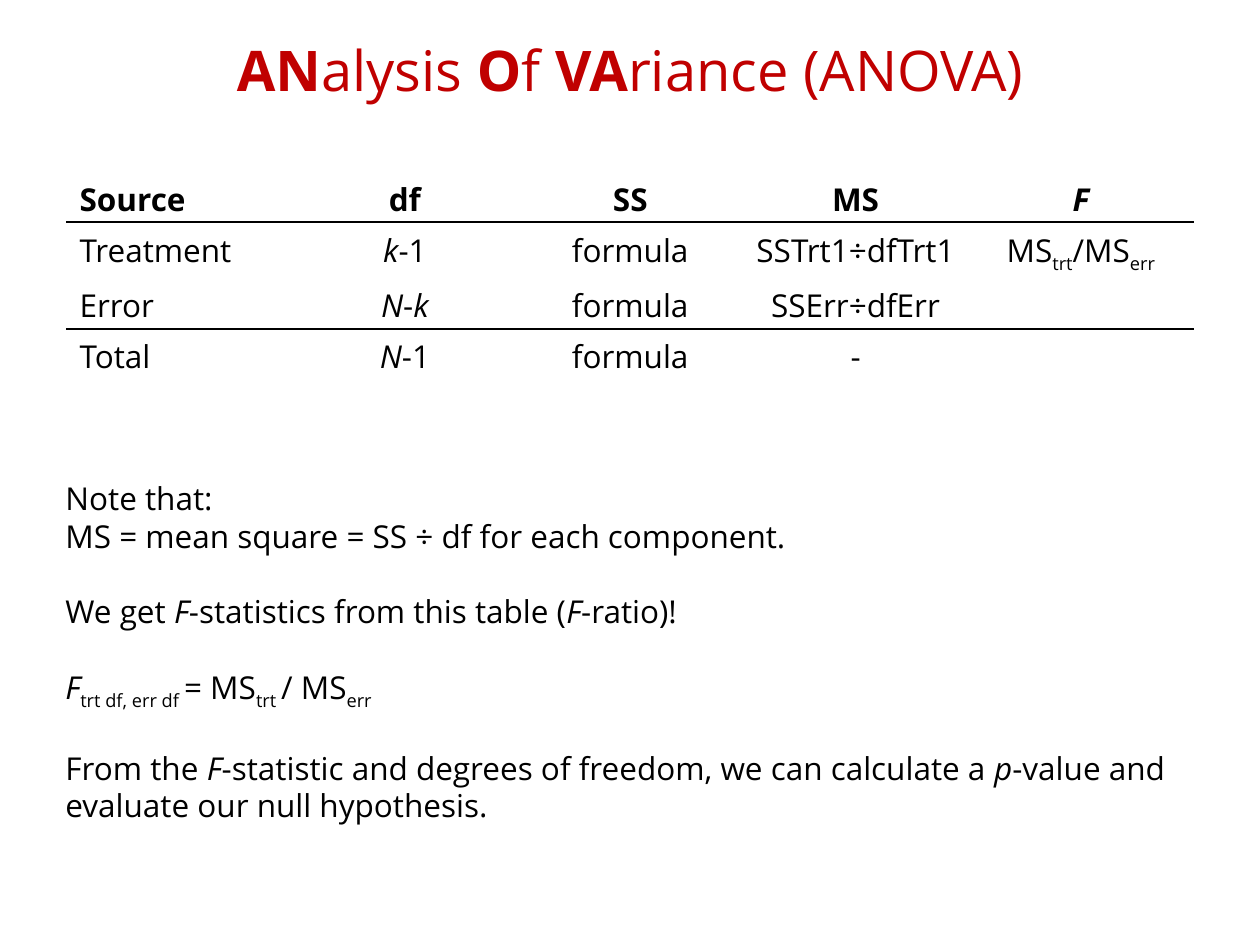
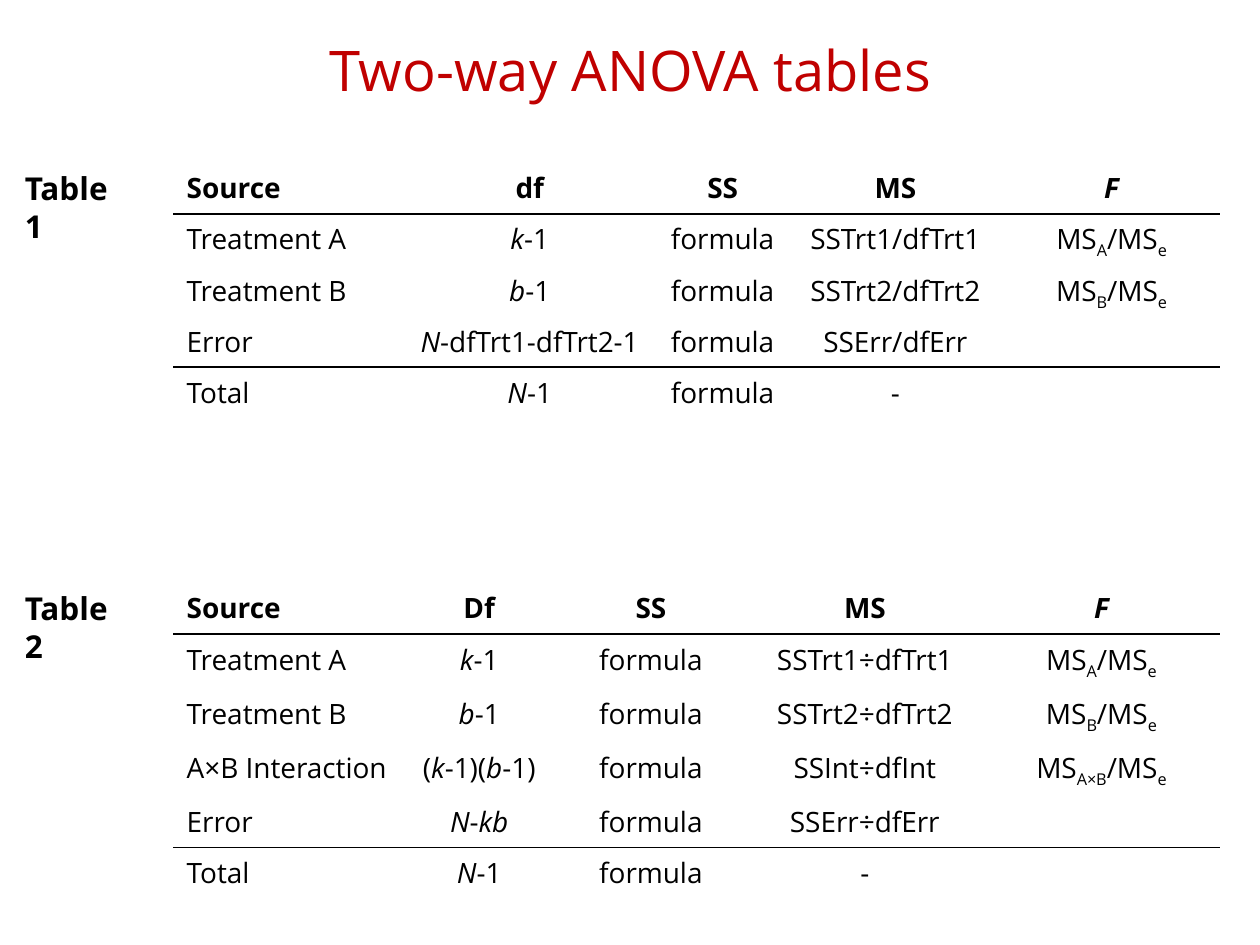
from pptx import Presentation
from pptx.util import Cm, Pt
from pptx.dml.color import RGBColor
from pptx.enum.text import MSO_ANCHOR, MSO_AUTO_SIZE, PP_ALIGN
from pptx.oxml import parse_xml
from pptx.oxml.ns import nsdecls

COLOURS = {"title": "C00000", "text": "000000", "rule": "000000", "paper": "FFFFFF"}
FONT = "Open Sans"
ROW_HEIGHT = 1.03
LINE_GAP = Pt(21.6)


def colour(role):
    return RGBColor.from_string(COLOURS[role])


def add_runs(paragraph, marked, size, role="text", bold=False):
    # Marks: ^bold^, *italic*, _subscript_
    for b, strong in enumerate(marked.split("^")):
        for i, slanted in enumerate(strong.split("*")):
            for s, words in enumerate(slanted.split("_")):
                if not words:
                    continue
                run = paragraph.add_run()
                run.text = words
                font = run.font
                font.name, font.size = FONT, Pt(size)
                font.bold = bold or b % 2 == 1
                font.italic = i % 2 == 1
                font.color.rgb = colour(role)
                if s % 2:
                    font._element.set("baseline", "-25000")


def add_titled_slide(deck, heading):
    slide = deck.slides.add_slide(deck.slide_layouts[5])
    title = slide.shapes.title
    title.left, title.top, title.width, title.height = Cm(0.25), Cm(0.2), Cm(24.92), Cm(2.54)
    title.line.color.rgb = colour("paper")
    title.line.width = Pt(4.5)
    frame = title.text_frame
    frame.vertical_anchor = MSO_ANCHOR.MIDDLE
    frame.auto_size = MSO_AUTO_SIZE.NONE
    paragraph = frame.paragraphs[0]
    paragraph.alignment = PP_ALIGN.CENTER
    paragraph.line_spacing = 0.9
    add_runs(paragraph, heading, 32, "title")
    return slide


def add_text(slide, left, top, width, height, lines, bold=False):
    frame = slide.shapes.add_textbox(Cm(left), Cm(top), Cm(width), Cm(height)).text_frame
    frame.word_wrap = True
    for index, (marked, gap) in enumerate(lines):
        paragraph = frame.add_paragraph() if index else frame.paragraphs[0]
        paragraph.space_before = gap
        add_runs(paragraph, marked, 18, bold=bold)


def add_rule(cell, side):
    cell._tc.get_or_add_tcPr().insert(0, parse_xml(
        f'<a:{side} {nsdecls("a")} w="12700"><a:solidFill>'
        f'<a:srgbClr val="{COLOURS["rule"]}"/></a:solidFill></a:{side}>'))


def add_anova_table(slide, left, top, width, shares, rows, size):
    table = slide.shapes.add_table(len(rows), len(shares), Cm(left), Cm(top),
                                   Cm(width), Cm(ROW_HEIGHT * len(rows))).table
    table.first_row = table.horz_banding = False
    for column, share in zip(table.columns, shares):
        column.width = Cm(width * share / sum(shares))
    last = len(rows) - 1
    for r, entries in enumerate(rows):
        table.rows[r].height = Cm(ROW_HEIGHT)
        for c, marked in enumerate(entries):
            cell = table.cell(r, c)
            cell.fill.background()
            if r in (0, last - 1):
                add_rule(cell, "lnB")
            if r in (1, last):
                add_rule(cell, "lnT")
            paragraph = cell.text_frame.paragraphs[0]
            paragraph.alignment = PP_ALIGN.CENTER if c else PP_ALIGN.LEFT
            paragraph.font.size = Pt(size)
            add_runs(paragraph, marked, size, bold=r == 0)


def add_labelled_table(slide, left, top, width, label, shares, rows):
    indent = 3.26
    add_anova_table(slide, left + indent, top, width - indent, shares, rows, 16)
    add_text(slide, left, top, 2.62, 1.02, [(label, Pt(0))], bold=True)


def header(df="df"):
    return ["Source", df, "SS", "MS", "*F*"]


TOTAL = ["Total", "*N*-1", "formula", "-", ""]

deck = Presentation()
deck.slide_width, deck.slide_height = Cm(25.4), Cm(19.05)

one_way = add_titled_slide(deck, "^AN^alysis ^O^f ^VA^riance (ANOVA)")
add_text(one_way, 1.07, 9.53, 24.08, 7.95, [
    ("Note that:", Pt(0)),
    ("MS = mean square = SS ÷ df for each component.", Pt(0)),
    ("We get *F*-statistics from this table (*F*-ratio)!", LINE_GAP),
    ("*F*_trt df, err df _= MS_trt _/ MS_err_", LINE_GAP),
    ("From the *F*-statistic and degrees of freedom, we can calculate a *p*-value and "
     "evaluate our null hypothesis.", LINE_GAP),
])
add_anova_table(one_way, 1.35, 3.45, 22.71, [1] * 5, [
    header(),
    ["Treatment", "*k*-1", "formula", "SSTrt1÷dfTrt1", "MS_trt_/MS_err_"],
    ["Error", "*N*-*k*", "formula", "SSErr÷dfErr", ""],
    TOTAL,
], 18)

two_way = add_titled_slide(deck, "Two-way ANOVA tables")
add_labelled_table(two_way, 0.25, 11.75, 24.34, "Table 2", [1.82, 1.21, 1.52, 1.88, 1.88], [
    header("Df"),
    ["Treatment A", "*k*-1", "formula", "SSTrt1÷dfTrt1", "MS_A_/MS_e_"],
    ["Treatment B", "*b*-1", "formula", "SSTrt2÷dfTrt2", "MS_B_/MS_e_"],
    ["A×B Interaction", "(*k*-1)(*b*-1)", "formula", "SSInt÷dfInt", "MS_A×B_/MS_e_"],
    ["Error", "*N*-*kb*", "formula", "SSErr÷dfErr", ""],
    TOTAL,
])
add_labelled_table(two_way, 0.25, 3.28, 24.34, "Table 1", [1.81, 2.04, 1.03, 1.72, 1.72], [
    header(),
    ["Treatment A", "*k*-1", "formula", "SSTrt1/dfTrt1", "MS_A_/MS_e_"],
    ["Treatment B", "*b*-1", "formula", "SSTrt2/dfTrt2", "MS_B_/MS_e_"],
    ["Error", "*N*-dfTrt1-dfTrt2-1", "formula", "SSErr/dfErr", ""],
    TOTAL,
])

deck.save("out.pptx")
